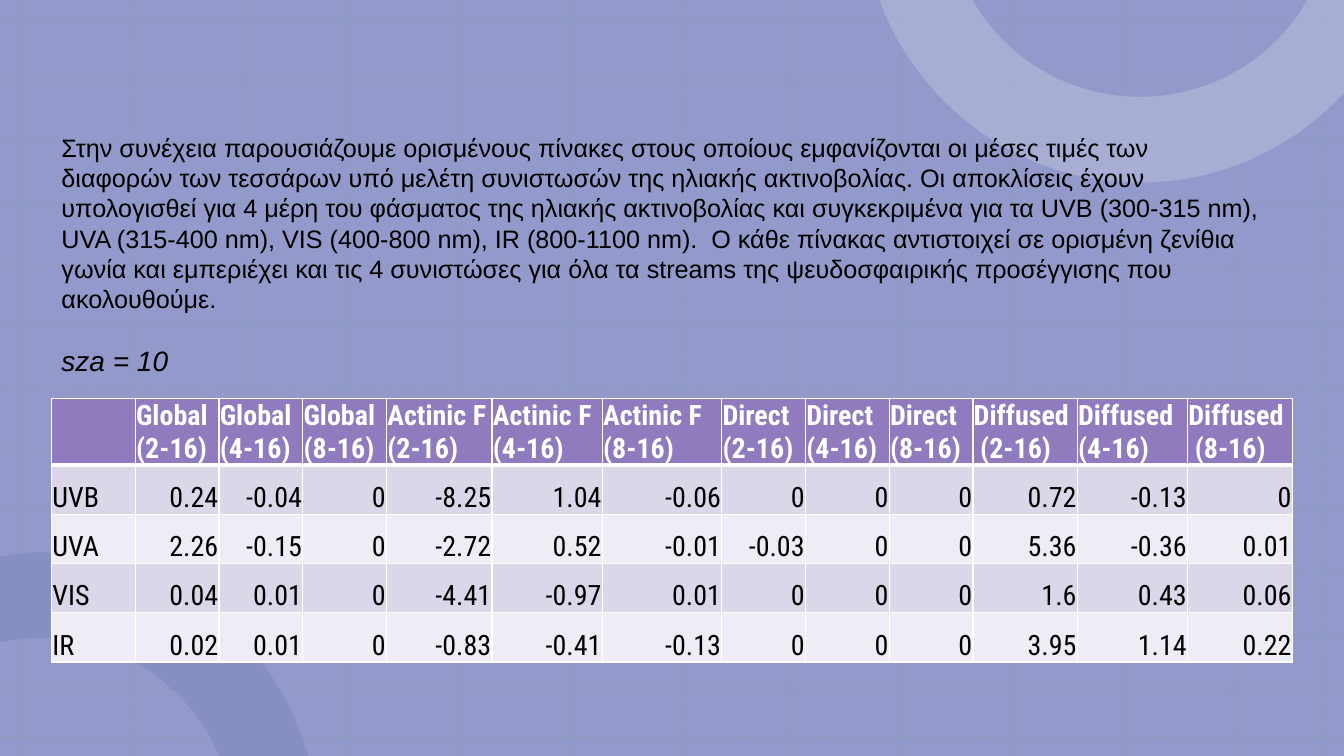
from dataclasses import dataclass

from pptx import Presentation
from pptx.dml.color import RGBColor as RGB
from pptx.enum.dml import MSO_LINE
from pptx.enum.shapes import MSO_CONNECTOR, MSO_SHAPE
from pptx.enum.text import MSO_ANCHOR, MSO_AUTO_SIZE, PP_ALIGN
from pptx.oxml.ns import qn
from pptx.util import Cm, Pt
from lxml.etree import SubElement


@dataclass(frozen=True)
class Theme:
    background: RGB = RGB(0x93, 0x99, 0xCA)
    grid: RGB = RGB(0x6F, 0xAC, 0x96)
    dark_ring: RGB = RGB(0x58, 0x62, 0xAD)
    light_ring: RGB = RGB(0xBE, 0xC2, 0xDF)
    header: RGB = RGB(0x8F, 0x7B, 0xBE)
    bands: tuple = (RGB(0xEE, 0xEC, 0xF4), RGB(0xDB, 0xD7, 0xE8))
    ink: RGB = RGB(0, 0, 0)
    white: RGB = RGB(0xFF, 0xFF, 0xFF)
    text_font: str = "Arial"
    table_font: str = "Roboto Condensed"
    body_size: Pt = Pt(18)
    large_size: Pt = Pt(20)
    grid_width: Pt = Pt(1.5)
    border: int = Pt(1)
    header_border: int = Pt(3)


theme = Theme()


def paint_flat(shape, color):
    shape.shadow.inherit = False
    shape.fill.solid()
    shape.fill.fore_color.rgb = color
    shape.line.fill.background()


def set_opacity(shape, percent):
    for color in shape.element.iter(qn("a:srgbClr")):
        SubElement(color, qn("a:alpha"), val=str(percent * 1000))


WIDTH, HEIGHT = 33.87, 19.05
prs = Presentation()
prs.slide_width, prs.slide_height = Cm(WIDTH), Cm(HEIGHT)
slide = prs.slides.add_slide(prs.slide_layouts[6])
shapes = slide.shapes

# Backdrop
backdrop = shapes.add_shape(MSO_SHAPE.RECTANGLE, 0, 0, Cm(WIDTH), Cm(HEIGHT))
paint_flat(backdrop, theme.background)

# Dotted grid
columns_x = [0.51 + (31.06 - 0.51) * i / 11 for i in range(12)] + [33.3]
rows_y = [0.48 + (15.95 - 0.48) * i / 10 for i in range(11)] + [17.35, 18.57]
grid = [(x, 0, x, HEIGHT) for x in columns_x] + [(0, y, WIDTH, y) for y in rows_y]
for ends in grid:
    grid_line = shapes.add_connector(MSO_CONNECTOR.STRAIGHT, *map(Cm, ends))
    grid_line.line.color.rgb = theme.grid
    grid_line.line.width = theme.grid_width
    grid_line.line.dash_style = MSO_LINE.ROUND_DOT
    set_opacity(grid_line, 20)
    SubElement(grid_line.element.spPr, qn("a:effectLst"))

# Corner rings, cut at the slide edges: a segment of three points is a Bézier curve
rings = [
    ((1.02, 13.92), [
        [(4.17, 13.92), (6.83, 16), (7.7, 18.85)], [(7.77, 19.05)],
        [(5.51, 19.05)], [(5.51, 19.02)],
        [(4.78, 17.3), (3.05, 16.08), (1.02, 16.08)],
        [(0.69, 16.08), (0.36, 16.1), (0.05, 16.18)], [(0, 16.18)],
        [(0, 14.02)], [(0.3, 13.97)], [(0.53, 13.94), (0.79, 13.92), (1.02, 13.92)],
    ], theme.dark_ring, 20),
    ((22.17, 0), [
        [(24.51, 0)], [(24.69, 0.3)],
        [(25.58, 1.6), (27.05, 2.44), (28.73, 2.44)],
        [(30.4, 2.44), (31.88, 1.6), (32.77, 0.3)],
        [(32.94, 0)], [(WIDTH, 0)], [(WIDTH, 2.34)], [(33.68, 2.54)],
        [(32.41, 3.81), (30.66, 4.6), (28.73, 4.6)],
        [(25.83, 4.6), (23.34, 2.82), (22.28, 0.3)],
    ], theme.light_ring, 50),
]
for start, segments, color, opacity in rings:
    builder = shapes.build_freeform(*map(Cm, start))
    builder.add_line_segments(
        [(Cm(x), Cm(y)) for segment in segments for x, y in segment], close=True)
    ring = builder.convert_to_shape()
    paint_flat(ring, color)
    set_opacity(ring, opacity)
    steps = iter(list(ring.element.iter(qn("a:lnTo"))))
    for segment in segments:
        first, *others = [next(steps) for point in segment]
        if others:
            first.tag = qn("a:cubicBezTo")
            for step in others:
                first.append(step[0])
                step.getparent().remove(step)

# Table of mean differences
headers = [
    [], ["Global (2-16)"], ["Global (4-16)"], ["Global (8-16)"],
    ["Actinic F", "(2-16)"], ["Actinic F", "(4-16)"], ["Actinic F", "(8-16)"],
    ["Direct", "(2-16)"], ["Direct", "(4-16)"], ["Direct", "(8-16)"],
    ["Diffused", " (2-16)"], ["Diffused", "(4-16)"], ["Diffused", " (8-16)"],
]
differences = [
    "UVB 0.24 -0.04 0 -8.25 1.04 -0.06 0 0 0 0.72 -0.13 0",
    "UVA 2.26 -0.15 0 -2.72 0.52 -0.01 -0.03 0 0 5.36 -0.36 0.01",
    "VIS 0.04 0.01 0 -4.41 -0.97 0.01 0 0 0 1.6 0.43 0.06",
    "IR 0.02 0.01 0 -0.83 -0.41 -0.13 0 0 0 3.95 1.14 0.22",
]
rows = [headers] + [[[value] for value in line.split()] for line in differences]
widths = [2.11] * 4 + [2.66, 2.78, 3.01] + [2.11] * 3 + [2.63, 2.78, 2.64]
heights = [1.3] + [1.24] * 4

table_frame = shapes.add_table(len(rows), len(widths), Cm(1.3), Cm(10.04),
                               Cm(sum(widths)), Cm(sum(heights)))
table = table_frame.table
table.horz_banding = False
for column, width in zip(table.columns, widths):
    column.width = Cm(width)
for row, height in zip(table.rows, heights):
    row.height = Cm(height)
table_frame.height = Cm(6.65)

for r, row in enumerate(rows):
    for c, lines in enumerate(row):
        cell = table.cell(r, c)
        cell.vertical_anchor = MSO_ANCHOR.BOTTOM
        cell.margin_left = cell.margin_right = cell.margin_top = Cm(0.02)
        cell.margin_bottom = 0

        # Borders, thicker below the header
        sides = {"L": theme.border, "R": theme.border,
                 "T": theme.header_border if r == 1 else theme.border,
                 "B": theme.header_border if r == 0 else theme.border}
        properties = cell._tc.get_or_add_tcPr()
        for side, thickness in sides.items():
            edge = SubElement(properties, qn(f"a:ln{side}"), w=str(int(thickness)))
            paint = SubElement(edge, qn("a:solidFill"))
            SubElement(paint, qn("a:srgbClr"), val=str(theme.white))
        cell.fill.solid()
        cell.fill.fore_color.rgb = theme.bands[r % 2] if r else theme.header

        for i, text in enumerate(lines):
            frame = cell.text_frame
            paragraph = frame.add_paragraph() if i else frame.paragraphs[0]
            paragraph.alignment = PP_ALIGN.RIGHT if r and c else PP_ALIGN.LEFT
            run = paragraph.add_run()
            run.text = text
            run.font.name, run.font.size = theme.table_font, theme.large_size
            run.font.color.rgb = theme.ink if r else theme.white
            run.font.bold = r == 0

# Zenith angle label and introduction
introduction = (
    "Στην συνέχεια παρουσιάζουμε ορισμένους πίνακες στους οποίους εμφανίζονται "
    "οι μέσες τιμές των διαφορών των τεσσάρων υπό μελέτη συνιστωσών της ηλιακής "
    "ακτινοβολίας. Οι αποκλίσεις έχουν υπολογισθεί για 4 μέρη του φάσματος της "
    "ηλιακής ακτινοβολίας και συγκεκριμένα για τα UVB (300-315 nm), "
    "UVA (315-400 nm), VIS (400-800 nm), IR (800-1100 nm).  Ο κάθε πίνακας "
    "αντιστοιχεί σε ορισμένη ζενίθια γωνία και εμπεριέχει και τις 4 συνιστώσες "
    "για όλα τα streams της ψευδοσφαιρικής προσέγγισης που ακολουθούμε."
)
passages = [
    ("sza = 10", 8.53, 4.32, 1.12, theme.large_size, True),
    (introduction, 3.21, 30.76, 4.11, theme.body_size, False),
]
for text, top, width, height, size, italic in passages:
    passage = shapes.add_textbox(Cm(1.3), Cm(top), Cm(width), Cm(height)).text_frame
    passage.word_wrap = True
    passage.auto_size = MSO_AUTO_SIZE.SHAPE_TO_FIT_TEXT
    run = passage.paragraphs[0].add_run()
    run.text = text
    run.font.name, run.font.size = theme.text_font, size
    run.font.color.rgb = theme.ink
    run.font.italic = italic

prs.save("out.pptx")
